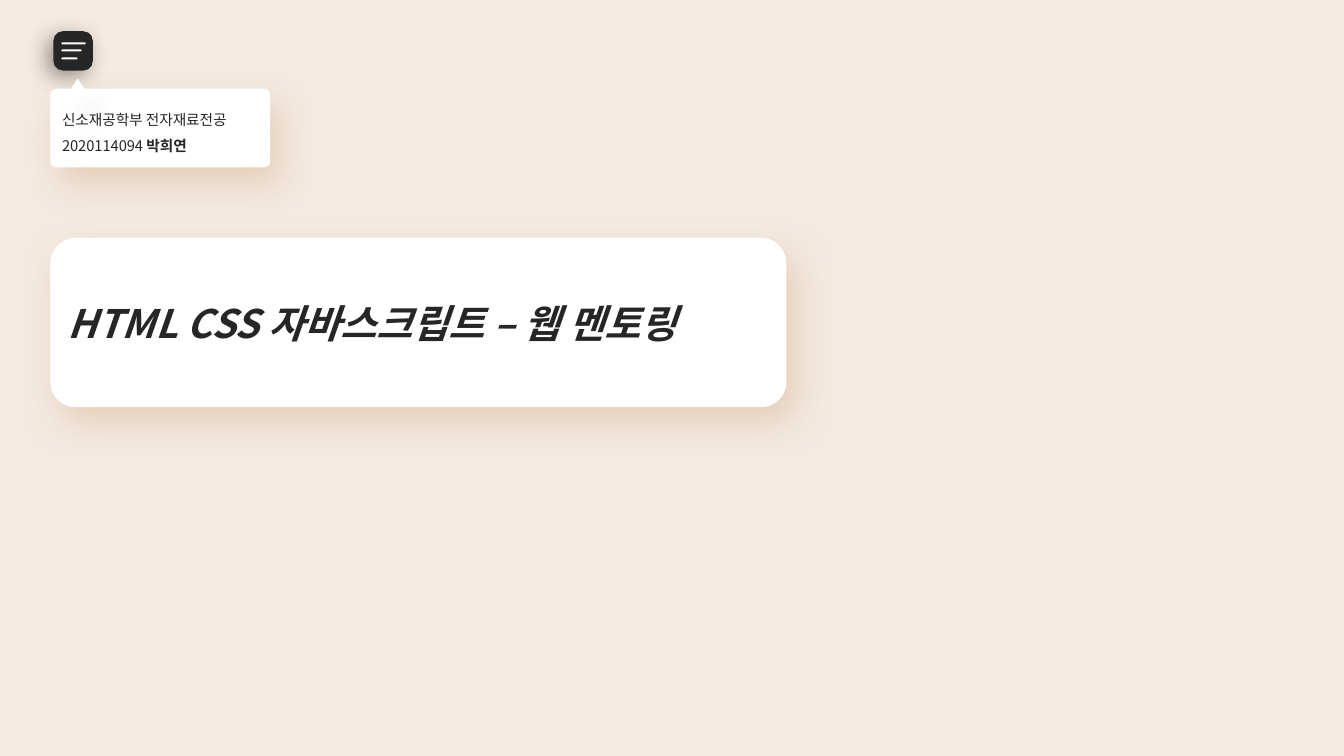
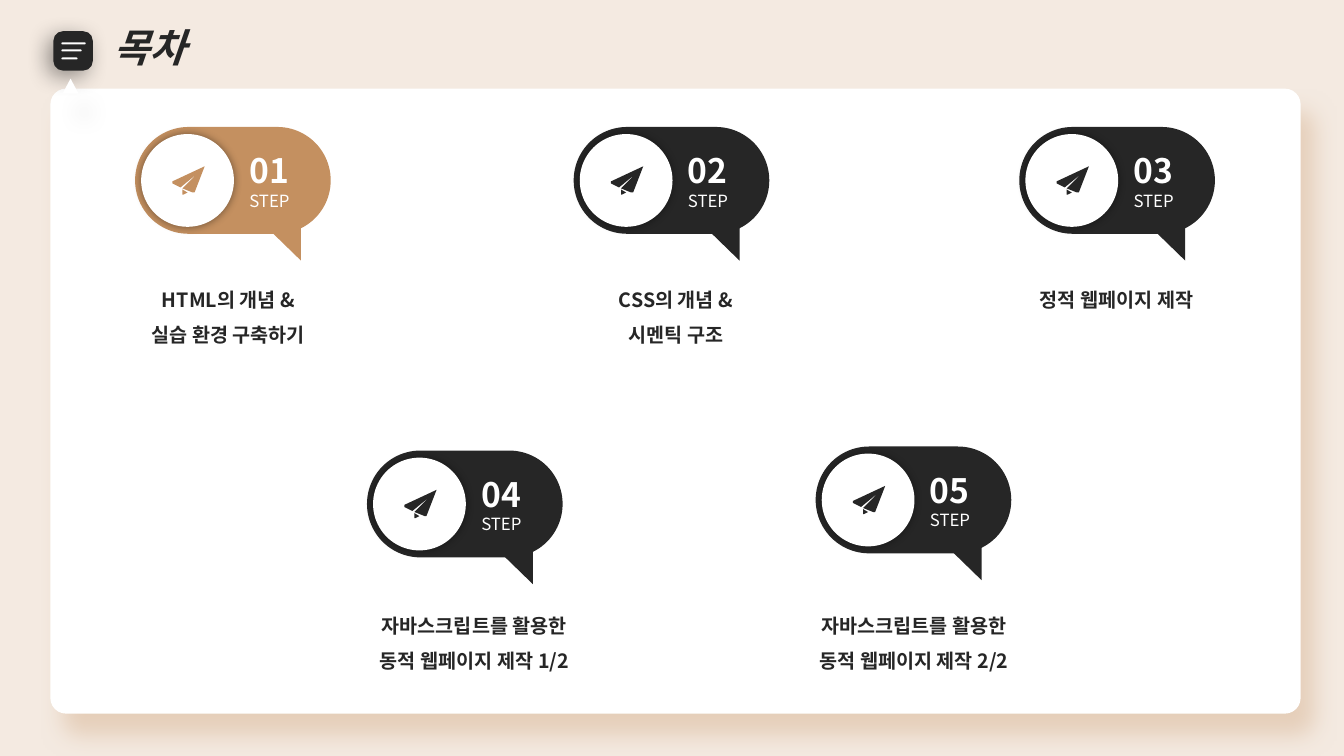
import dataclasses
import typing

import pptx
import pptx.dml.color
import pptx.enum.shapes
import pptx.enum.text
import pptx.oxml
import pptx.oxml.ns
import pptx.shapes.autoshape
import pptx.shapes.shapetree
import pptx.slide
import pptx.util

Inches = pptx.util.Inches
Preset = pptx.enum.shapes.MSO_SHAPE
Align = pptx.enum.text.PP_ALIGN
Anchor = pptx.enum.text.MSO_ANCHOR
Shape = pptx.shapes.autoshape.Shape
Shapes = pptx.shapes.shapetree.SlideShapes | pptx.shapes.shapetree.GroupShapes
Box = tuple[float, float, float, float]
Point = tuple[float, float]


@dataclasses.dataclass(frozen=True)
class Shadow:
    color: str
    opacity: int
    blur: float
    distance: float
    angle: int


@dataclasses.dataclass(frozen=True)
class Theme:
    font: str = "Noto Sans CJK KR"
    background: str = "F4EAE1"
    dark: str = "262626"
    accent: str = "C49060"
    white: str = "FFFFFF"
    title_size: float = 28
    number_size: float = 24
    caption_size: float = 14
    label_size: float = 12
    author_size: float = 10.5
    card_shadow: Shadow = Shadow("E1C6AD", 75, 25, 13, 60)
    panel_shadow: Shadow = Shadow("E1C6AD", 75, 16, 19, 60)
    menu_shadow: Shadow = Shadow("000000", 40, 16, 6, 135)
    pointer_shadow: Shadow = Shadow("000000", 11, 16, 19, 60)
    disc_shadow: Shadow = Shadow("000000", 40, 6, 0, 0)


THEME = Theme()


@dataclasses.dataclass(frozen=True)
class Span:
    text: str
    size: float
    color: str = THEME.dark
    bold: bool = False
    italic: bool = False


@dataclasses.dataclass(frozen=True)
class Step:
    number: str
    left: float
    top: float
    caption_left: float
    caption_top: float
    caption: tuple[str, ...]
    color: str = THEME.dark


STEPS = (
    Step("01", 1.34, 1.26, 0.99, 2.69, ("HTML의 개념 &", "실습 환경 구축하기"), THEME.accent),
    Step("02", 5.69, 1.26, 5.43, 2.69, ("CSS의 개념 &", "시멘틱 구조")),
    Step("03", 10.11, 1.26, 9.8, 2.69, ("정적 웹페이지 제작",)),
    Step("04", 3.64, 4.47, 3.43, 5.92, ("자바스크립트를 활용한", "동적 웹페이지 제작 1/2")),
    Step("05", 8.09, 4.43, 7.79, 5.92, ("자바스크립트를 활용한", "동적 웹페이지 제작 2/2")),
)
MENU_BARS = ((0.42, 0.24), (0.49, 0.2), (0.57, 0.16))
PLANE_FIN = ((0.47, 0.62), (0.52, 0.65), (0.48, 0.67), (0.47, 0.67))
PLANE_BODY = (
    (0.69, 0.39), (0.59, 0.65), (0.57, 0.65), (0.47, 0.61),
    (0.62, 0.46), (0.45, 0.6), (0.37, 0.56), (0.37, 0.54),
)


def paint(shape: Shape, color: str, shadow: Shadow | None = None) -> None:
    shape.fill.solid()
    shape.fill.fore_color.rgb = pptx.dml.color.RGBColor.from_string(color)
    shape.line.fill.background()
    shape.shadow.inherit = False
    if shadow:
        effects = shape._element.spPr.find(pptx.oxml.ns.qn("a:effectLst"))
        effects.append(pptx.oxml.parse_xml(
            f'<a:outerShdw {pptx.oxml.ns.nsdecls("a")}'
            f' blurRad="{pptx.util.Pt(shadow.blur)}" dist="{pptx.util.Pt(shadow.distance)}"'
            f' dir="{shadow.angle * 60000}" algn="ctr" rotWithShape="0">'
            f'<a:srgbClr val="{shadow.color}"><a:alpha val="{shadow.opacity * 1000}"/>'
            f'</a:srgbClr></a:outerShdw>'
        ))


def add_preset(
    shapes: Shapes, preset: Preset, box: Box, color: str,
    radius: float | None = None, shadow: Shadow | None = None,
) -> Shape:
    shape = shapes.add_shape(preset, *map(Inches, box))
    if radius is not None:
        shape.adjustments[0] = radius
    paint(shape, color, shadow)
    return shape


def add_outline(shapes: Shapes, points: typing.Sequence[Point], origin: Point, color: str) -> None:
    corners = [(Inches(origin[0] + x), Inches(origin[1] + y)) for x, y in points]
    builder = shapes.build_freeform(*corners[0])
    builder.add_line_segments(corners[1:], close=True)
    paint(builder.convert_to_shape(), color)


def write_text(
    shape: Shape, lines: typing.Sequence[typing.Sequence[Span]], *,
    align: Align = Align.LEFT, anchor: Anchor = Anchor.MIDDLE,
    spacing: float = 1.0, indent: float = 0,
) -> None:
    frame = shape.text_frame
    frame.word_wrap = True
    frame.vertical_anchor = anchor
    for index, spans in enumerate(lines):
        para = frame.add_paragraph() if index else frame.paragraphs[0]
        para.alignment = align
        para.line_spacing = spacing
        if indent:
            para._p.get_or_add_pPr().set("marL", str(Inches(indent)))
        for span in spans:
            run = para.add_run()
            run.text = span.text
            run.font.name = THEME.font
            run.font.size = pptx.util.Pt(span.size)
            run.font.bold = span.bold
            run.font.italic = span.italic
            run.font.color.rgb = pptx.dml.color.RGBColor.from_string(span.color)
            run.font._element.append(pptx.oxml.parse_xml(
                f'<a:ea {pptx.oxml.ns.nsdecls("a")} typeface="{THEME.font}"/>'
            ))


def add_text_box(
    shapes: Shapes, box: Box, lines: typing.Sequence[typing.Sequence[Span]], **layout: typing.Any
) -> None:
    text_box = shapes.add_textbox(*map(Inches, box))
    write_text(text_box, lines, anchor=Anchor.TOP, **layout)
    text_box.text_frame.auto_size = pptx.enum.text.MSO_AUTO_SIZE.SHAPE_TO_FIT_TEXT


def title_span(text: str) -> Span:
    return Span(text, THEME.title_size, bold=True, italic=True)


def add_card(shapes: Shapes, box: Box, radius: float, shadow: Shadow) -> Shape:
    return add_preset(shapes, Preset.ROUNDED_RECTANGLE, box, THEME.white, radius, shadow)


def add_pointer(shapes: Shapes, left: float, width: float) -> None:
    add_preset(shapes, Preset.ISOSCELES_TRIANGLE, (left, 0.78, width, 0.15), THEME.white,
               shadow=THEME.pointer_shadow)


def add_menu(slide: pptx.slide.Slide) -> None:
    shapes = slide.shapes.add_group_shape().shapes
    add_preset(shapes, Preset.ROUNDED_RECTANGLE, (0.53, 0.31, 0.39, 0.39), THEME.dark, 0.24,
               THEME.menu_shadow)
    for top, width in MENU_BARS:
        add_preset(shapes, Preset.ROUNDED_RECTANGLE, (0.61, top, width, 0.02), THEME.white, 0.5)


def add_step(slide: pptx.slide.Slide, step: Step) -> None:
    shapes = slide.shapes.add_group_shape().shapes
    left, top = step.left, step.top
    bubble = add_preset(shapes, Preset.ROUNDED_RECTANGLE, (left, top, 1.94, 1.06), step.color, 0.5)
    write_text(bubble, [
        [Span(step.number, THEME.number_size, THEME.white, bold=True)],
        [Span("STEP", THEME.label_size, THEME.white)],
    ], indent=0.88)
    add_preset(shapes, Preset.OVAL, (left + 0.06, top + 0.07, 0.92, 0.92), THEME.white,
               shadow=THEME.disc_shadow)
    for points in (PLANE_FIN, PLANE_BODY):
        add_outline(shapes, points, (left, top), step.color)
    tail = add_preset(shapes, Preset.RIGHT_TRIANGLE, (left + 1.29, top + 0.97, 0.35, 0.36), step.color)
    tail.rotation = 270
    tail._element.spPr.xfrm.set("flipH", "1")
    add_text_box(
        slide.shapes, (step.caption_left, step.caption_top, 2.55, 0.41 if len(step.caption) == 1 else 0.76),
        [[Span(line, THEME.caption_size, bold=True)] for line in step.caption],
        align=Align.CENTER, spacing=1.5,
    )


def build_cover(slide: pptx.slide.Slide) -> None:
    add_menu(slide)
    author = add_card(slide.shapes, (0.5, 0.88, 2.18, 0.78), 0.075, THEME.card_shadow)
    write_text(author, [[
        Span("신소재공학부 전자재료전공 2020114094 ", THEME.author_size),
        Span("박희연", THEME.author_size, bold=True),
    ]], spacing=1.5)
    add_pointer(slide.shapes, 0.67, 0.2)
    title = add_card(slide.shapes, (0.5, 2.36, 7.3, 1.68), 0.15, THEME.card_shadow)
    write_text(title, [[title_span("HTML CSS 자바스크립트 – 웹 멘토링")]])


def build_contents(slide: pptx.slide.Slide) -> None:
    add_card(slide.shapes, (0.5, 0.88, 12.4, 6.2), 0.025, THEME.panel_shadow)
    add_menu(slide)
    add_pointer(slide.shapes, 0.62, 0.16)
    add_text_box(slide.shapes, (1.03, 0.18, 7.85, 0.57), [[title_span("목차")]])
    for step in STEPS:
        add_step(slide, step)


def main() -> None:
    deck = pptx.Presentation()
    deck.slide_width, deck.slide_height = Inches(13.33), Inches(7.5)
    backdrop = deck.slide_master.background.fill
    backdrop.solid()
    backdrop.fore_color.rgb = pptx.dml.color.RGBColor.from_string(THEME.background)
    for build in (build_cover, build_contents):
        build(deck.slides.add_slide(deck.slide_layouts[6]))
    deck.save("out.pptx")


if __name__ == "__main__":
    main()
